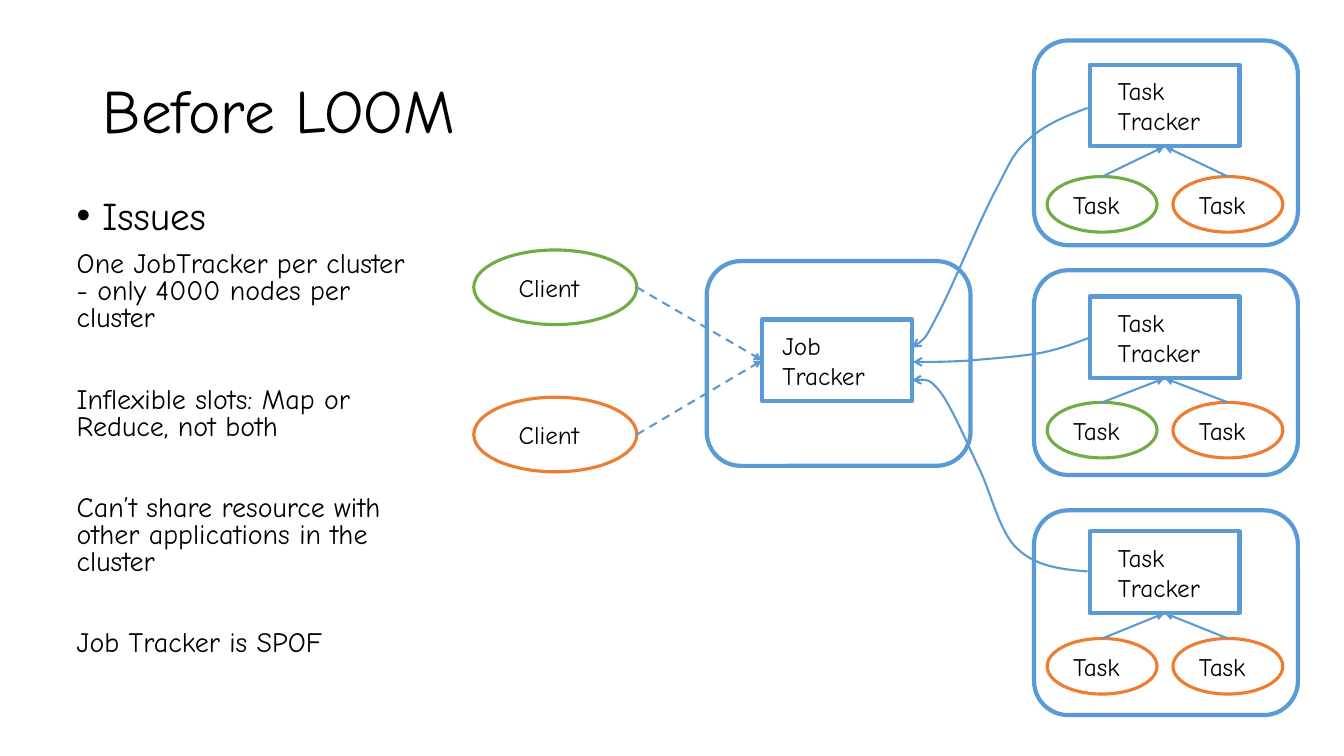
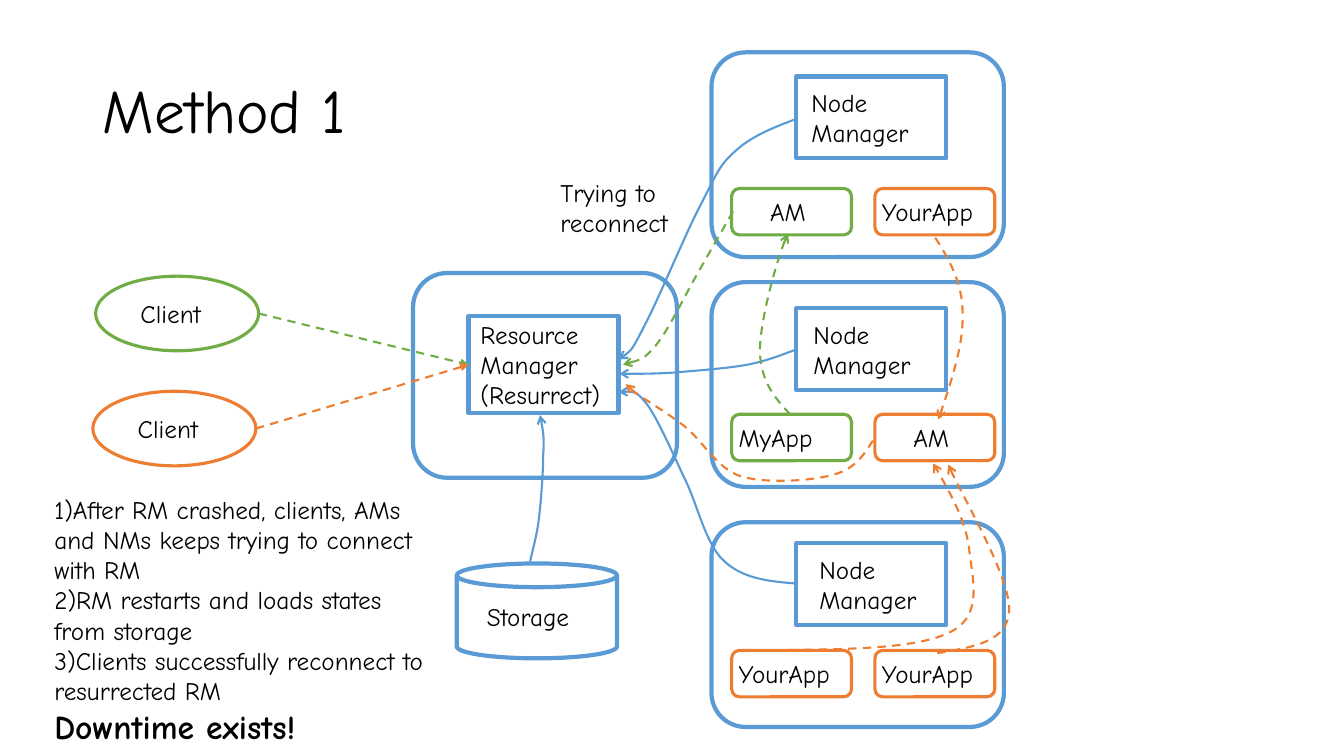
from dataclasses import dataclass

from lxml import etree
from pptx import Presentation
from pptx import util as u
from pptx.dml.color import RGBColor
from pptx.enum import dml, shapes, text
from pptx.oxml.ns import qn

KIND = shapes.MSO_SHAPE


@dataclass(frozen=True)
class Theme:
    """Colours, font, type sizes (pt) and line widths (pt) of both slides."""
    font: str = "Comic Neue"
    ink: str = "000000"
    paper: str = "FFFFFF"
    blue: str = "5B9BD5"
    green: str = "70AD47"
    orange: str = "ED7D31"
    title: int = 44
    heading: int = 28
    strong: int = 24
    body: int = 20
    label: int = 18
    frame: float = 3
    outline: float = 2.25
    arrow: float = 1.5


T = Theme()

# Lengths are centimetres; a box is (left, top, width, height).
SLIDE = (33.87, 19.05)
TITLE = (2.34, 1.02, 29.21, 3.68)
HUB = (6.65, 5.16)
HEAD = (3.78, 2.06)
HEAD_LEFT = 1.4
CLIENT = (4.11, 1.88)
# Worker top from the hub top, then head and child tops from the worker top.
ROWS = [(-5.56, 0.61, 3.43), (0.23, 0.66, 3.33), (6.28, 0.53, 3.23)]

# Curves run through start, control, control, end ... measured from the hub corner.
HEARTBEATS = [
    [(9.6, -3.86), (9.06, -3.66), (8.5, -3.43), (8.12, -3.07), (7.74, -2.74),
     (7.67, -2.54), (7.29, -1.8), (6.88, -1.04), (6.17, 0.71), (5.81, 1.37),
     (5.46, 2.06), (5.3, 2.11), (5.18, 2.18)],
    [(9.65, 1.93), (9.29, 2.06), (8.94, 2.21), (8.43, 2.31), (7.89, 2.41),
     (7.11, 2.46), (6.57, 2.51), (6.02, 2.54), (5.61, 2.54), (5.2, 2.54)],
    [(9.6, 7.82), (8.94, 7.77), (8.28, 7.69), (7.82, 7.24), (7.36, 6.81),
     (7.16, 5.79), (6.83, 5.15), (6.52, 4.49), (6.17, 3.68), (5.89, 3.3),
     (5.61, 2.95), (5.38, 2.97), (5.18, 3.0)],
]
STORAGE_LOAD = [
    (2.95, 7.27), (3.03, 6.91), (3.13, 6.58), (3.18, 6.12), (3.23, 5.67),
    (3.28, 5.01), (3.28, 4.58), (3.31, 4.17), (3.26, 3.86), (3.2, 3.58)]
APP_MESSAGES = [
    (T.green, [(8.06, -1.55), (7.78, -1.04), (7.47, -0.53), (7.19, -0.02),
               (6.86, 0.54), (6.46, 1.4), (6.13, 1.81), (5.82, 2.19),
               (5.54, 2.24), (5.29, 2.31)]),
    (T.orange, [(11.59, 4.22), (11.36, 4.58), (11.15, 4.93), (10.6, 5.08),
                (10.06, 5.24), (8.92, 5.31), (8.28, 5.13), (7.65, 4.93),
                (7.34, 4.27), (6.84, 3.86), (6.35, 3.48), (5.54, 3.03),
                (5.36, 2.8)]),
    (T.orange, [(9.48, 9.5), (11.15, 9.48), (12.83, 9.45), (13.59, 9.02),
                (14.36, 8.61), (14.1, 7.7), (14.02, 7.01), (13.95, 6.3),
                (13.54, 5.54), (13.11, 4.8)]),
    (T.orange, [(13.21, 9.58), (14.1, 9.43), (14.99, 9.3), (15.02, 8.51),
                (15.07, 7.73), (13.72, 5.41), (13.49, 4.83)]),
    (T.orange, [(13.16, -0.89), (13.52, -0.33), (13.85, 0.26), (13.85, 1.02),
                (13.87, 1.78), (13.57, 2.72), (13.24, 3.69)]),
    (T.green, [(9.5, 3.56), (9.12, 3.15), (8.77, 2.75), (8.74, 1.98),
               (8.74, 1.25), (9.22, -0.56), (9.45, -0.99)]),
]


def rgb(colour):
    """Turn a hex colour of the theme into an RGBColor."""
    return RGBColor.from_string(colour)


def emu(lengths):
    """Turn centimetres into a list of lengths."""
    return [u.Cm(length) for length in lengths]


def edge(box, across, down):
    """Return the point at the given fractions of a box."""
    left, top, width, height = box
    return left + width * across, top + height * down


def write(frame, *lines, size=T.label, bold=False, spacing=None, before=None,
          append=False):
    """Write one left-aligned paragraph per line and return the paragraphs."""
    frame.word_wrap = True
    frame.auto_size = text.MSO_AUTO_SIZE.NONE
    written = []
    for number, line in enumerate(lines):
        fresh = append or number > 0
        paragraph = frame.add_paragraph() if fresh else frame.paragraphs[0]
        paragraph.alignment = text.PP_ALIGN.LEFT
        if spacing is not None:
            paragraph.line_spacing = spacing
        if before is not None:
            paragraph.space_before = u.Pt(before)
        run = paragraph.add_run()
        run.text = line
        run.font.name, run.font.size, run.font.bold = T.font, u.Pt(size), bold
        run.font.color.rgb = rgb(T.ink)
        written.append(paragraph)
    return written


def set_bullet(paragraph, mark=None, indent=0.0):
    """Give a paragraph a hanging bullet, or none."""
    props = paragraph._p.get_or_add_pPr()
    props.set("marL", str(u.Cm(indent)))
    props.set("indent", str(-u.Cm(indent)))
    bullet = etree.SubElement(props, qn("a:buChar" if mark else "a:buNone"))
    if mark:
        bullet.set("char", mark)


def place(holder, box):
    """Move a placeholder to a box."""
    holder.left, holder.top, holder.width, holder.height = emu(box)


def add_note(slide, box, *lines):
    """Add a free text box and return its text frame."""
    frame = slide.shapes.add_textbox(*emu(box)).text_frame
    write(frame, *lines)
    return frame


def add_node(slide, kind, box, colour, weight, lines=(), pad=0.0, filled=True):
    """Add an outlined shape whose label starts pad from its inner left."""
    node = slide.shapes.add_shape(kind, *emu(box))
    node.shadow.inherit = False
    if filled:
        node.fill.solid()
        node.fill.fore_color.rgb = rgb(T.paper)
    else:
        node.fill.background()
    node.line.color.rgb = rgb(colour)
    node.line.width = u.Pt(weight)
    if lines:
        frame = node.text_frame
        frame.margin_left = u.Cm(pad)
        frame.margin_right = frame.margin_top = frame.margin_bottom = 0
        frame.vertical_anchor = text.MSO_ANCHOR.MIDDLE
        write(frame, *lines)


def style_arrow(line, colour, dashed, head):
    """Colour a line and put an arrowhead at its end."""
    line.color.rgb = rgb(colour)
    line.width = u.Pt(T.arrow)
    if dashed:
        line.dash_style = dml.MSO_LINE.DASH
    etree.SubElement(line._get_or_add_ln(), qn("a:tailEnd"), type=head)


def add_link(slide, start, end, colour=T.blue, dashed=False):
    """Add a straight arrow between two points."""
    link = slide.shapes.add_connector(
        shapes.MSO_CONNECTOR.STRAIGHT, *emu(start + end))
    style_arrow(link.line, colour, dashed, "triangle")
    etree.SubElement(link._element.spPr, qn("a:effectLst"))


def add_curve(slide, origin, points, colour=T.blue, dashed=False):
    """Add a curved arrow whose points are measured from an origin."""
    start, *rest = [emu((origin[0] + x, origin[1] + y)) for x, y in points]
    builder = slide.shapes.build_freeform(*start)
    builder.add_line_segments(rest, close=False)
    curve = builder.convert_to_shape()
    steps = list(curve._element.iter(qn("a:lnTo")))
    for first in range(0, len(steps), 3):
        bend = etree.Element(qn("a:cubicBezTo"))
        steps[first].addprevious(bend)
        for step in steps[first:first + 3]:
            bend.append(step[0])
            step.getparent().remove(step)
    curve.shadow.inherit = False
    curve.fill.background()
    style_arrow(curve.line, colour, dashed, "arrow")


def add_title(slide, wording):
    """Fill the title placeholder."""
    place(slide.shapes.title, TITLE)
    frame = slide.shapes.title.text_frame
    frame.vertical_anchor = text.MSO_ANCHOR.MIDDLE
    write(frame, wording, size=T.title, spacing=0.9)


def add_issues(slide, box, heading, issues):
    """Fill the body placeholder with a bulleted heading and plain issues."""
    body = slide.placeholders[1]
    place(body, box)
    frame = body.text_frame
    set_bullet(write(frame, heading, size=T.heading, spacing=0.8, before=10)[0],
               "•", 0.64)
    for number, issue in enumerate(issues):
        paragraph, = write(frame, issue, size=T.body, spacing=0.8,
                           before=39 if number else 10, append=True)
        set_bullet(paragraph)


def add_hub(slide, corner, core_top, core_height, lines, pad):
    """Add the master machine and return the box of its core."""
    left, top = corner
    add_node(slide, KIND.ROUNDED_RECTANGLE, (left, top, *HUB), T.blue, T.frame)
    core = (left + HEAD_LEFT, top + core_top, HEAD[0], core_height)
    add_node(slide, KIND.RECTANGLE, core, T.blue, T.frame, lines, pad)
    return core


def add_clients(slide, corners, core, colours):
    """Add the two clients, each with a dashed arrow to the core."""
    for corner, outline, arrow in zip(corners, (T.green, T.orange), colours):
        client = (*corner, *CLIENT)
        add_node(slide, KIND.OVAL, client, outline, T.outline, ["Client"], 0.53)
        add_link(slide, edge(client, 1, 0.5), edge(core, 0, 0.5), arrow, True)


def add_worker(slide, box, head, lines, pad, children, linked):
    """Add a worker machine: a head and its row of children."""
    left, top = box[:2]
    add_node(slide, KIND.ROUNDED_RECTANGLE, box, T.blue, T.frame)
    head_box = (left + head[0], top + head[1], *HEAD)
    add_node(slide, KIND.RECTANGLE, head_box, T.blue, T.frame, lines, pad)
    for kind, (x, y, width, height), colour, label, child_pad in children:
        child = (left + x, top + y, width, height)
        add_node(slide, kind, child, colour, T.outline, [label], child_pad)
        if linked:
            add_link(slide, edge(child, 0.5, 0), edge(head_box, 0.5, 1))


def add_heartbeats(slide, corner):
    """Add the arrows from the three workers to the hub."""
    for points in HEARTBEATS:
        add_curve(slide, corner, points)


def single_tracker(slide):
    """Build the slide on the single job tracker."""
    corner = (17.81, 6.58)
    add_title(slide, "Before LOOM")
    add_issues(slide, (1.68, 4.93, 9.12, 12.09), "Issues", [
        "One JobTracker per cluster - only 4000 nodes per cluster",
        "Inflexible slots: Map or Reduce, not both",
        "Can’t share resource with other applications in the cluster",
        "Job Tracker is SPOF"])
    core = add_hub(slide, corner, 1.47, HEAD[1], ["Job", "Tracker"], 0.51)
    add_clients(slide, [(11.94, 6.3), (11.94, 10.01)], core, (T.blue, T.blue))
    first_tasks = (T.green, T.green, T.orange)
    for (rise, head_top, task_top), first in zip(ROWS, first_tasks):
        tasks = [(KIND.OVAL, (x, task_top, 2.77, 1.4), colour, "Task", 0.25)
                 for x, colour in ((0.33, first), (3.5, T.orange))]
        add_worker(slide, (corner[0] + 8.25, corner[1] + rise, *HUB),
                   (HEAD_LEFT, head_top), ["Task", "Tracker"], 0.71, tasks, True)
    add_heartbeats(slide, corner)


def method_one(slide):
    """Build the slide on restarting the resource manager."""
    corner = (10.41, 6.88)
    add_title(slide, "Method 1")
    core = add_hub(slide, corner, 1.09, 2.44,
                   ["Resource", "Manager", "(Resurrect)"], 0.3)
    add_clients(slide, [(2.41, 6.96), (2.34, 9.86)], core, (T.green, T.orange))
    mine, yours, master = ("MyApp", 0.12), ("YourApp", 0.12), ("AM", 0.91)
    machines = [(0.38, (T.green, master), (T.orange, yours)),
                (0.43, (T.green, mine), (T.orange, master)),
                (0.58, (T.orange, yours), (T.orange, yours))]
    for (rise, head_top, app_top), (pad, *pair) in zip(ROWS, machines):
        apps = [(KIND.ROUNDED_RECTANGLE, (x, app_top, 3.02, 1.17), colour, *app)
                for x, (colour, app) in zip((0.51, 4.12), pair)]
        add_worker(slide, (corner[0] + 7.52, corner[1] + rise, 7.37, HUB[1]),
                   (2.14, head_top), ["Node", "Manager"], pad, apps, False)
    add_heartbeats(slide, corner)
    for colour, points in APP_MESSAGES:
        add_curve(slide, corner, points, colour, True)
    add_node(slide, KIND.CAN, (corner[0] + 1.1, corner[1] + 7.32, 4.04, 2.39),
             T.blue, T.frame, ["Storage"], 0.76, filled=False)
    add_curve(slide, corner, STORAGE_LOAD)
    steps = add_note(
        slide, (1.12, 12.32, 10.13, 6.7),
        "1)After RM crashed, clients, AMs and NMs keeps trying to connect with RM",
        "2)RM restarts and loads states from storage",
        "3)Clients successfully reconnect to resurrected RM")
    write(steps, "Downtime exists!", size=T.strong, bold=True, append=True)
    add_note(slide, (13.87, 4.34, 3.76, 1.8), "Trying to reconnect")


def main():
    """Build and save the presentation."""
    deck = Presentation()
    deck.slide_width, deck.slide_height = emu(SLIDE)
    for build, layout in ((single_tracker, 1), (method_one, 5)):
        build(deck.slides.add_slide(deck.slide_layouts[layout]))
    deck.save("out.pptx")


main()
